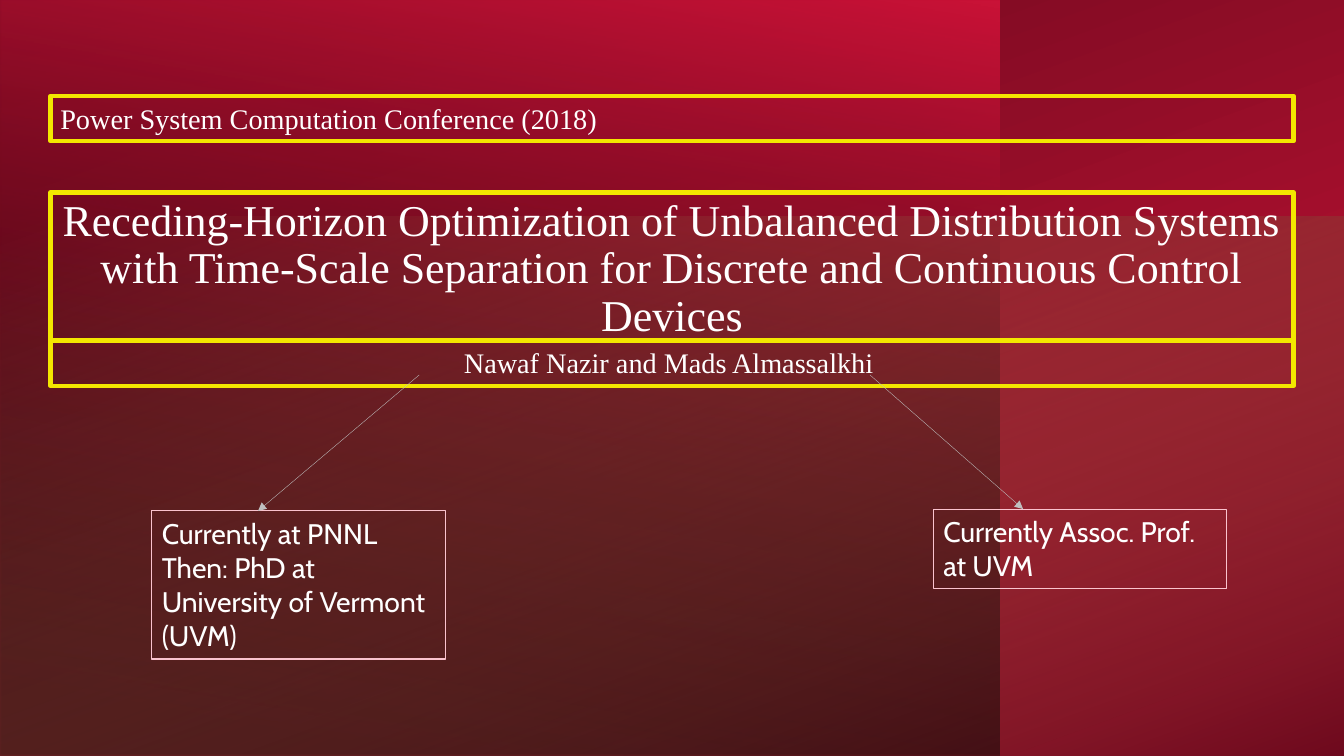
import pptx
import pptx.dml.color
import pptx.enum.shapes
import pptx.enum.text
import pptx.oxml.ns
import pptx.util
from lxml import etree

Pt = pptx.util.Pt
RGBColor = pptx.dml.color.RGBColor
ALIGN = pptx.enum.text.PP_ALIGN
AUTO_SIZE = pptx.enum.text.MSO_AUTO_SIZE
qn = pptx.oxml.ns.qn

WHITE = RGBColor(0xFF, 0xFF, 0xFF)
BLACK = RGBColor(0x00, 0x00, 0x00)
CRIMSON = RGBColor(0xCA, 0x12, 0x37)
DARK_RED = RGBColor(0x65, 0x09, 0x1B)
LIME = RGBColor(0xCC, 0xEA, 0x7C)
YELLOW = RGBColor(0xF3, 0xE7, 0x00)
PINK = RGBColor(0xFA, 0xC3, 0xCE)
GREY = RGBColor(0xBF, 0xBF, 0xBF)

SERIF = "Times New Roman"
SANS = "Cabin"
SLIDE_WIDTH, SLIDE_HEIGHT = 960, 540
BAND_LEFT, BAND_WIDTH = 36, 888
BODY_SIZE = 20.2


def add_backdrop(slide, area, rotation, angle, stops):
    """Cover an area with a mirrored, turned gradient; stops are (position, colour, opacity)."""
    left, top, width, height = area
    if rotation == 270:  # the unturned frame has its sides swapped
        left, top = left + (width - height) / 2, top + (height - width) / 2
        width, height = height, width
    shape = slide.shapes.add_shape(pptx.enum.shapes.MSO_SHAPE.RECTANGLE,
                                   Pt(left), Pt(top), Pt(width), Pt(height))
    shape.shadow.inherit = False
    shape.rotation = rotation
    shape.element.spPr.find(qn("a:xfrm")).set("flipH", "1")
    shape.line.fill.background()
    shape.fill.gradient()
    shape.fill.gradient_angle = 360 - angle
    for stop, (position, colour, _) in zip(shape.fill.gradient_stops, stops):
        stop.position = position
        stop.color.rgb = colour
    colours = shape.element.spPr.iter(qn("a:srgbClr"))
    for element, (_, _, opacity) in zip(colours, stops):
        if opacity < 100:
            etree.SubElement(element, qn("a:alpha")).set("val", str(opacity * 1000))


def format_text(shape, text, font_name, size, alignment):
    shape.text_frame.word_wrap = True
    paragraph = shape.text_frame.paragraphs[0]
    paragraph.text = text
    paragraph.alignment = alignment
    paragraph.font.name = font_name
    paragraph.font.size = Pt(size)
    paragraph.font.color.rgb = WHITE
    return paragraph


def outline(shape, colour, width):
    shape.line.color.rgb = colour
    shape.line.width = Pt(width)


def add_title(slide, text, top, height):
    title = slide.shapes.title
    title.left, title.top = Pt(BAND_LEFT), Pt(top)
    title.width, title.height = Pt(BAND_WIDTH), Pt(height)
    title.element.getparent().append(title.element)  # in front of the backdrop
    outline(title, YELLOW, 3)
    frame = title.text_frame
    frame.auto_size = AUTO_SIZE.NONE
    frame.vertical_anchor = pptx.enum.text.MSO_ANCHOR.BOTTOM
    frame.margin_left = frame.margin_top = frame.margin_right = frame.margin_bottom = 0
    paragraph = format_text(title, text, SERIF, 31.4, ALIGN.CENTER)
    paragraph.line_spacing = 0.9
    paragraph.space_before = Pt(0)


def add_framed_text(slide, text, area, font_name, alignment, colour, line_width):
    box = slide.shapes.add_textbox(*[Pt(length) for length in area])
    outline(box, colour, line_width)
    box.text_frame.auto_size = AUTO_SIZE.SHAPE_TO_FIT_TEXT
    paragraph = format_text(box, text, font_name, BODY_SIZE, alignment)
    paragraph.space_after = Pt(6)


def add_band(slide, text, top, alignment):
    add_framed_text(slide, text, (BAND_LEFT, top, BAND_WIDTH, 32.4),
                    SERIF, alignment, YELLOW, 3)


def add_note(slide, text, left, top, height):
    add_framed_text(slide, text, (left, top, 209.5, height),
                    SANS, ALIGN.LEFT, PINK, 0.75)


def add_arrow(slide, start, end):
    arrow = slide.shapes.add_connector(pptx.enum.shapes.MSO_CONNECTOR.STRAIGHT,
                                       *[Pt(length) for length in start + end])
    outline(arrow, GREY, 0.25)
    etree.SubElement(arrow.line._get_or_add_ln(), qn("a:tailEnd")).set("type", "triangle")
    etree.SubElement(arrow.element.spPr, qn("a:effectLst"))


def main():
    presentation = pptx.Presentation()
    presentation.slide_width = Pt(SLIDE_WIDTH)
    presentation.slide_height = Pt(SLIDE_HEIGHT)
    slide = presentation.slides.add_slide(presentation.slide_layouts[5])

    # Layered red backdrop
    add_backdrop(slide, (0, 0, SLIDE_WIDTH, SLIDE_HEIGHT), 270, 200,
                 [(0.08, CRIMSON, 100), (1, DARK_RED, 100)])
    add_backdrop(slide, (0, 0, 714.2, SLIDE_HEIGHT), 180, 80,
                 [(0.08, BLACK, 52), (1, CRIMSON, 100)])
    add_backdrop(slide, (0, 154.8, SLIDE_WIDTH, 385.2), 270, 20,
                 [(0, LIME, 0), (1, BLACK, 46)])

    # Title, authors and conference
    add_title(slide, "Receding-Horizon Optimization of Unbalanced Distribution Systems "
              "with Time-Scale Separation for Discrete and Continuous Control Devices",
              137.5, 105.8)
    add_band(slide, "Nawaf Nazir and Mads Almassalkhi ", 243.3, ALIGN.CENTER)
    add_band(slide, "Power System Computation Conference (2018)", 68.4, ALIGN.LEFT)

    # Where the authors are now
    add_note(slide, "Currently at PNNL\vThen: PhD at University of Vermont (UVM)",
             108.5, 365, 105.8)
    add_note(slide, "Currently Assoc. Prof. at UVM", 666.7, 363.6, 56.9)
    add_arrow(slide, (299.5, 267.8), (184.3, 365))
    add_arrow(slide, (621.4, 267.8), (730.8, 363.6))

    presentation.save("out.pptx")


if __name__ == "__main__":
    main()
